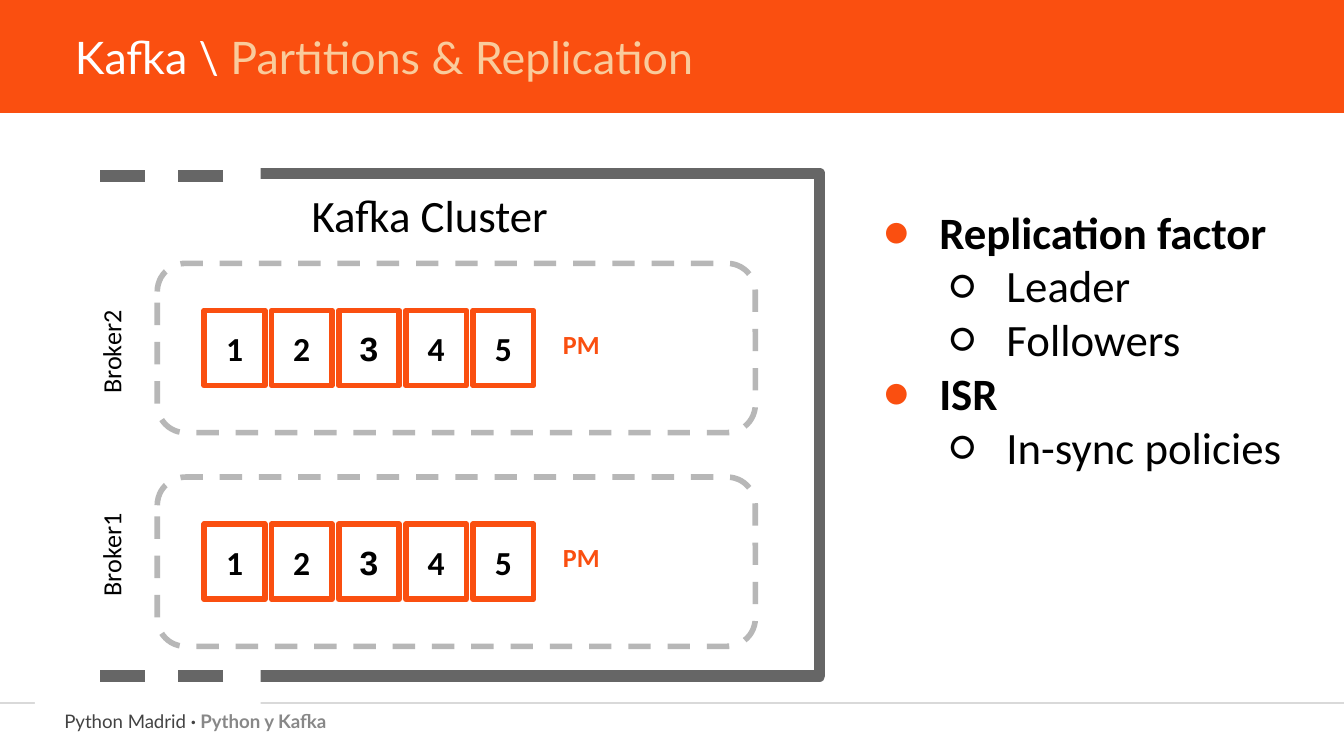
from lxml.etree import SubElement
from pptx import Presentation
from pptx.dml.color import RGBColor
from pptx.enum.dml import MSO_LINE
from pptx.enum.shapes import MSO_CONNECTOR, MSO_SHAPE as SHAPE
from pptx.enum.text import MSO_ANCHOR as ANCHOR, PP_ALIGN as ALIGN
from pptx.oxml.ns import qn
from pptx.util import Inches, Pt

ORANGE, PEACH, WHITE, BLACK = "FA4F10", "F9CB9C", "FFFFFF", "000000"
DARK, GREY, SILVER, PALE = "434343", "666666", "B7B7B7", "D9D9D9"


def color(hex_code):
    return RGBColor.from_string(hex_code)


class SlideBuilder:
    """Holds the style and the current slide."""
    font, inset = "Calibri", Inches(0.1)

    def __init__(self, slide):
        self.slide = slide

    def _stroke(self, line, hex_code, width, dashed):
        line.color.rgb = color(hex_code)
        line.width = Pt(width)
        if dashed:
            line.dash_style = MSO_LINE.DASH

    def _frame(self, shape, anchor=ANCHOR.TOP):
        frame = shape.text_frame
        frame.word_wrap = True
        frame.vertical_anchor = anchor
        frame.margin_left = frame.margin_right = self.inset
        frame.margin_top = frame.margin_bottom = self.inset
        return frame

    def _format(self, run, size, hex_code, bold=False, font=None):
        run.font.name = font or self.font
        run.font.size = Pt(size)
        run.font.bold = bold
        run.font.color.rgb = color(hex_code)

    def box(self, place, kind=SHAPE.RECTANGLE, fill=None, line=None,
            width=0.75, dashed=False):
        shape = self.slide.shapes.add_shape(kind, *map(Inches, place))
        shape.shadow.inherit = False
        if fill:
            shape.fill.solid()
            shape.fill.fore_color.rgb = color(fill)
        else:
            shape.fill.background()
        if line:
            self._stroke(shape.line, line, width, dashed)
        else:
            shape.line.fill.background()
        return shape

    def line(self, start, end, hex_code, width=0.75, dashed=False):
        connector = self.slide.shapes.add_connector(
            MSO_CONNECTOR.STRAIGHT, *map(Inches, start + end))
        self._stroke(connector.line, hex_code, width, dashed)
        SubElement(connector._element.spPr, qn("a:effectLst"))

    def text(self, place, runs, size, font=None, align=ALIGN.LEFT, rotation=0):
        """Each run is (wording, colour, bold)."""
        label = self.slide.shapes.add_textbox(*map(Inches, place))
        label.rotation = rotation
        paragraph = self._frame(label).paragraphs[0]
        paragraph.alignment = align
        for wording, hex_code, bold in runs:
            run = paragraph.add_run()
            run.text = wording
            self._format(run, size, hex_code, bold, font)

    def label_box(self, shape, wording, size, hex_code, align=ALIGN.LEFT,
                  anchor=ANCHOR.TOP, font=None):
        frame = self._frame(shape, anchor)
        frame.text = wording
        paragraph = frame.paragraphs[0]
        paragraph.alignment = align
        self._format(paragraph.runs[0], size, hex_code, True, font)

    def bullets(self, shape, items, size):
        """Each item is (level, wording)."""
        frame = self._frame(shape)
        frame.text = "\n".join(wording for _, wording in items)
        for paragraph, (level, _) in zip(frame.paragraphs, items):
            paragraph.level = level
            paragraph.alignment = ALIGN.LEFT
            props = paragraph._p.get_or_add_pPr()
            props.set("marL", str(Inches(0.5 * (level + 1))))
            props.set("indent", str(Inches(-0.42)))
            tint = SubElement(props, qn("a:buClr"))
            SubElement(tint, qn("a:srgbClr"), val=BLACK if level else ORANGE)
            SubElement(props, qn("a:buFont"), typeface=self.font)
            SubElement(props, qn("a:buChar"), char="○" if level else "●")
            self._format(paragraph.runs[0], size, BLACK, level == 0)


def main():
    deck = Presentation()
    deck.slide_width = Inches(10)
    deck.slide_height = deck.slide_width * 9 // 16
    page = SlideBuilder(deck.slides.add_slide(deck.slide_layouts[6]))

    # Header and footer
    page.line((0, 5.23), (10, 5.23), PALE)
    page.box((-0.14, -0.14, 10.3, 0.98), fill=ORANGE)
    page.text((0.38, 5.2, 6.85, 0.8),
              [("Python Madrid ", DARK, False), ("· ", DARK, True),
               ("Python y Kafka", "888888", True)], 10, "Lato")
    page.text((0.46, 0.12, 6.2, 0.43),
              [("Kafka \\ ", WHITE, False),
               ("Partitions & Replication", PEACH, False)], 24, "Lato")

    # Cluster frame, open on the left
    page.box((0.46, 1.29, 5.64, 3.74), SHAPE.FLOWCHART_PROCESS,
             line=GREY, width=6)
    page.box((0.26, 1.01, 1.68, 4.3), fill=WHITE)
    for edge in (1.31, 5.03):
        page.line((1.66, edge), (0.53, edge), GREY, 6, dashed=True)
    page.text((2.22, 1.3, 3.43, 0.86), [("Kafka Cluster", BLACK, False)], 24)

    # Brokers with their partitions
    brokers = [("Broker2", 1.96, 2.62, 2.34), ("Broker1", 3.55, 4.13, 3.93)]
    for broker, top, name_middle, tag_top in brokers:
        page.box((1.17, top, 4.45, 1.26), SHAPE.ROUNDED_RECTANGLE,
                 line=SILVER, width=3, dashed=True)
        page.text((0.23, name_middle - 0.22, 1.2, 0.44),
                  [(broker, BLACK, False)], 14, align=ALIGN.CENTER,
                  rotation=270)
        for number in range(1, 6):
            partition = page.box(
                (1.52 + 0.5 * (number - 1), top + 0.35, 0.45, 0.56),
                line=ORANGE, width=3)
            page.label_box(partition, str(number), 18, BLACK, ALIGN.CENTER,
                           ANCHOR.MIDDLE, "Arial" if number == 3 else None)
        tag = page.box((4.09, tag_top, 0.86, 0.43), fill=WHITE, line=WHITE)
        page.label_box(tag, "PM", 14, ORANGE)

    # Key concepts
    concepts = page.box((6.39, 1.42, 3.61, 3.17), fill=WHITE, line=WHITE)
    page.bullets(concepts, [(0, "Replication factor"), (1, "Leader"),
                            (1, "Followers"), (0, "ISR"),
                            (1, "In-sync policies")], 24)

    deck.save("out.pptx")


if __name__ == "__main__":
    main()
